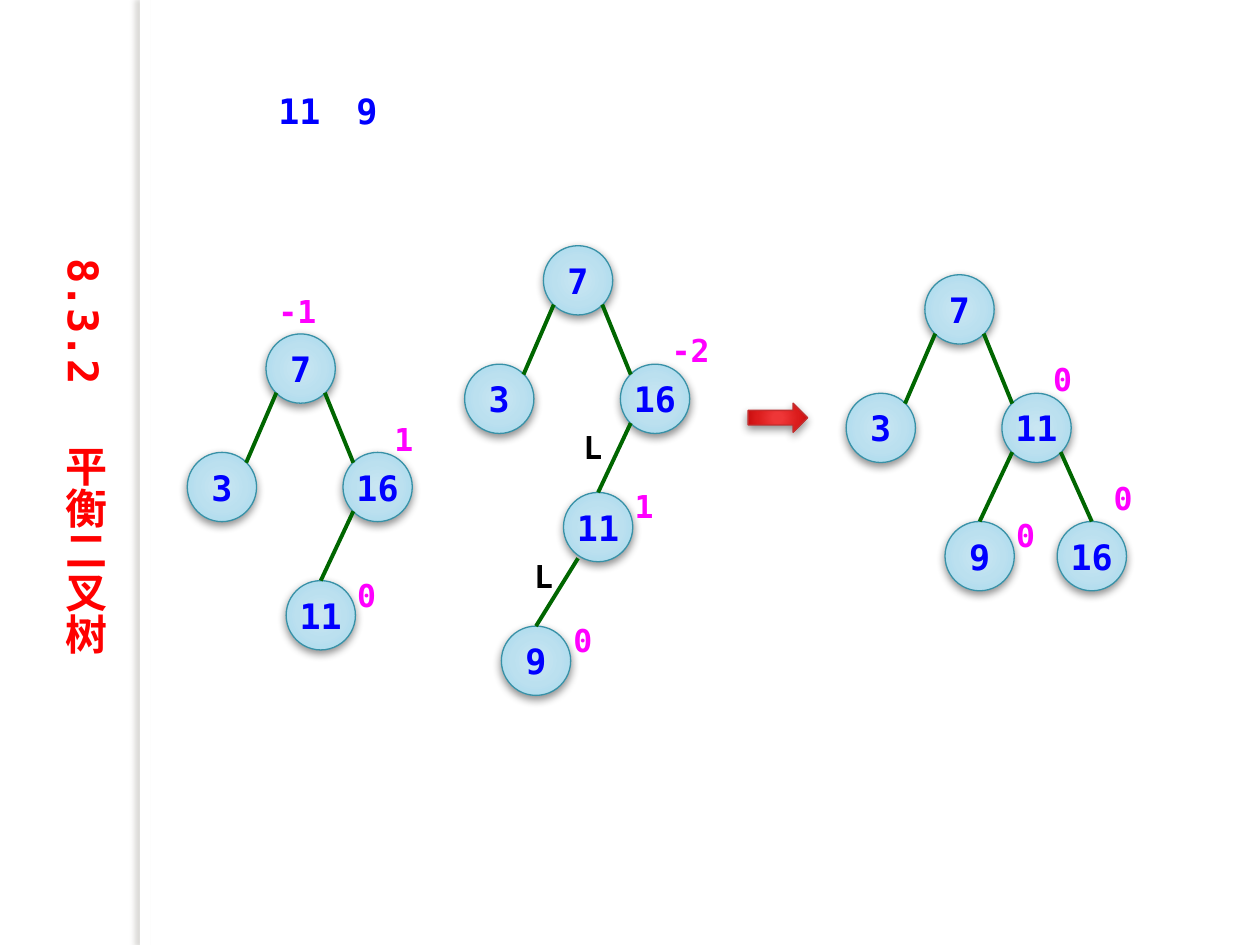
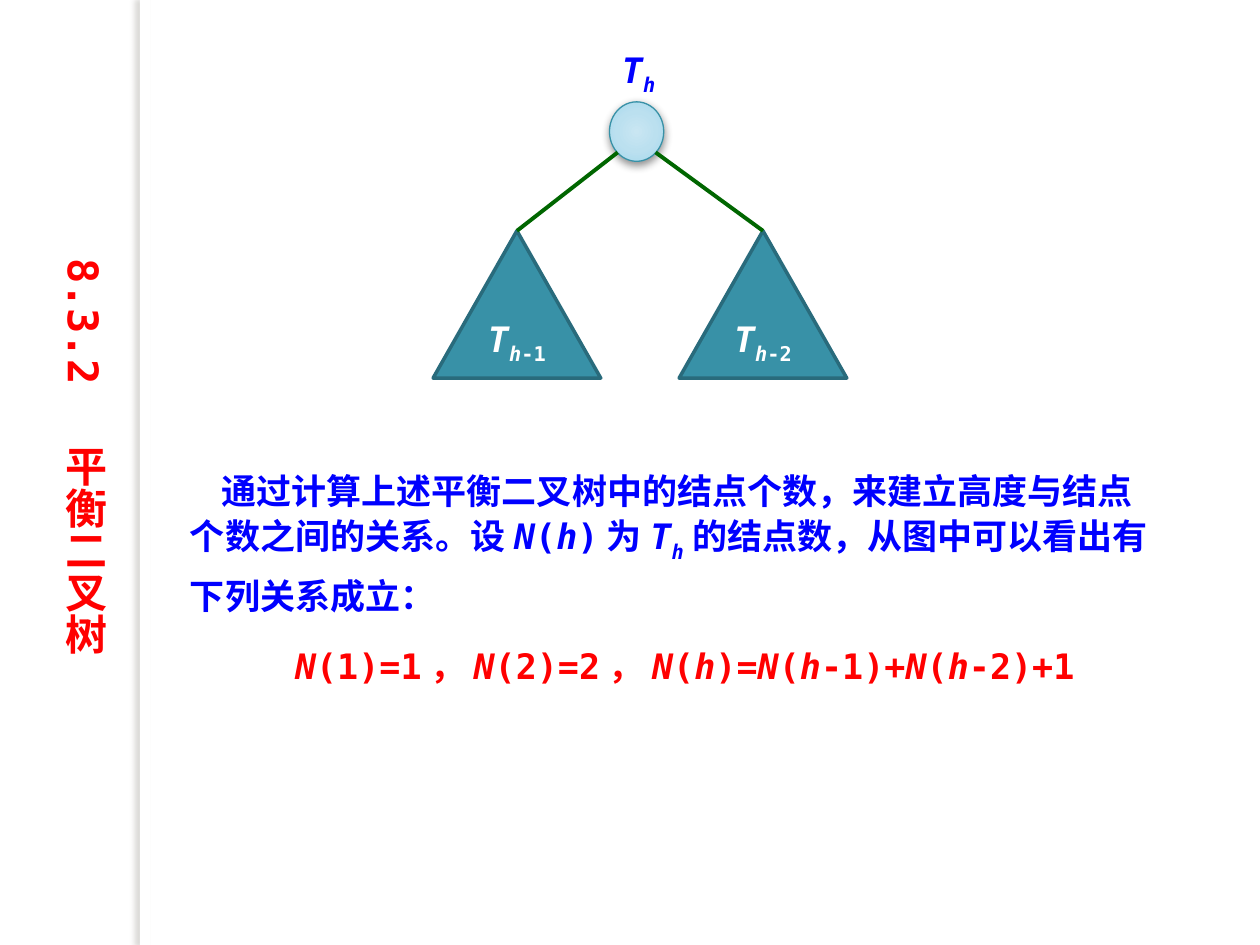
from lxml.etree import SubElement
from pptx import Presentation
from pptx.dml.color import RGBColor
from pptx.enum.shapes import MSO_CONNECTOR, MSO_SHAPE
from pptx.enum.text import MSO_ANCHOR, MSO_AUTO_SIZE, PP_ALIGN
from pptx.oxml.ns import qn
from pptx.util import Pt

COLORS = {
    "paper": "FFFFFF", "ink": "0000FF", "title": "FF0000", "factor": "FF00FF",
    "turn": "000000", "edge": "006600", "teal": "3891A7", "teal_dark": "296B7C",
    "arrow": "C32D2E", "band_shadow": "736F63", "shadow": "000000",
}
NODE_GRADIENT = [(0, "C9E6F2"), (50, "BBE0EF"), (97, "A4D8ED"), (100, "9BD7EE")]
ARROW_GRADIENT = [(0, "EF3737"), (15, "EE3637"), (62, "DB1C1C"), (97, "C70C0D"), (100, "C30001")]
FONT = "DejaVu Sans Mono"

NODE = 39.6
ROOT, LEFT, RIGHT = (0, 0), (-45, 67.7), (44, 67.7)
INNER, OUTER, DEEP = (11.5, 141), (75.6, 141), (-24, 217.4)
LOWER_LEFT, LOWER_RIGHT = (0.15, 0.85), (0.85, 0.85)
UPPER_LEFT, UPPER_RIGHT = (0.15, 0.15), (0.85, 0.15)
TOP, STEEP_LEFT = (0.5, 0), (0.21, 0.95)
RIGHT_FACTOR, INNER_FACTOR = (66.2, 45.4), (45, 134.6)
TOP_EDGES = [("7", "3", LOWER_LEFT, UPPER_RIGHT)]


def color(name):
    return RGBColor.from_string(COLORS[name])


def add_spans(para, spans, size, ink, drop=-25):
    for text, style in spans:
        span = para.add_run()
        span.text = text
        font = span.font
        font.name, font.size, font.bold = FONT, Pt(size), True
        font.italic = "i" in style
        font.color.rgb = color(ink)
        if "s" in style:
            span._r.get_or_add_rPr().set("baseline", str(drop * 1000))


def add_text(page, left, top, width, height, spans, size, ink):
    box = page.shapes.add_textbox(Pt(left), Pt(top), Pt(width), Pt(height))
    frame = box.text_frame
    frame.word_wrap = True
    frame.auto_size = MSO_AUTO_SIZE.SHAPE_TO_FIT_TEXT
    add_spans(frame.paragraphs[0], spans, size, ink)
    return box


def add_gradient(shape, stops):
    shape.fill.solid()
    solid = shape.element.spPr.find(qn("a:solidFill"))
    gradient = solid.makeelement(qn("a:gradFill"), {"rotWithShape": "1"})
    stop_list = SubElement(gradient, qn("a:gsLst"))
    for position, value in stops:
        stop = SubElement(stop_list, qn("a:gs"), pos=str(position * 1000))
        SubElement(stop, qn("a:srgbClr"), val=value)
    circle = SubElement(gradient, qn("a:path"), path="circle")
    SubElement(circle, qn("a:fillToRect"), l="50000", t="50000", r="50000", b="50000")
    solid.getparent().replace(solid, gradient)


def add_shadow(shape, ink, alpha, blur, distance, angle):
    effects = shape.element.spPr.find(qn("a:effectLst"))
    shadow = SubElement(effects, qn("a:outerShdw"), blurRad=str(Pt(blur)),
                        dist=str(Pt(distance)), dir=str(angle * 60000),
                        algn="ctr", rotWithShape="0")
    tone = SubElement(shadow, qn("a:srgbClr"), val=COLORS[ink])
    SubElement(tone, qn("a:alpha"), val=str(alpha * 1000))


def add_plain(page, kind, left, top, width, height, line=None, weight=0.75):
    shape = page.shapes.add_shape(kind, Pt(left), Pt(top), Pt(width), Pt(height))
    if line:
        shape.line.color.rgb = color(line)
        shape.line.width = Pt(weight)
    else:
        shape.line.fill.background()
    shape.shadow.inherit = False
    return shape


def add_glossy(page, kind, left, top, width, height, line, stops):
    shape = add_plain(page, kind, left, top, width, height, line)
    add_gradient(shape, stops)
    add_shadow(shape, "shadow", 43, 5, 2, 90)
    return shape


def add_node(page, left, top, width=NODE, height=NODE, key=None):
    node = add_glossy(page, MSO_SHAPE.OVAL, left, top, width, height, "teal", NODE_GRADIENT)
    if key:
        frame = node.text_frame
        frame.word_wrap = False
        frame.vertical_anchor = MSO_ANCHOR.MIDDLE
        para = frame.paragraphs[0]
        para.alignment = PP_ALIGN.CENTER
        add_spans(para, [(key, "")], 20, "ink")
    return node


def point_on(shape, place):
    return (int(shape.left + shape.width * place[0]),
            int(shape.top + shape.height * place[1]))


def add_edge(page, parent, child, start, end=TOP):
    edge = page.shapes.add_connector(
        MSO_CONNECTOR.STRAIGHT, *point_on(parent, start), *point_on(child, end))
    if end == TOP:
        edge.end_connect(child, 0)
    edge.line.color.rgb = color("edge")
    edge.line.width = Pt(2.25)
    SubElement(edge.element.spPr, qn("a:effectLst"))


def add_tree(page, left, top, places, edges, labels):
    nodes = {key: add_node(page, left + x, top + y, key=key)
             for key, (x, y) in places.items()}
    for parent, child, start, end in edges:
        add_edge(page, nodes[parent], nodes[child], start, end)
    for text, (x, y) in labels:
        width = NODE if len(text) > 1 else 22.3
        ink = "turn" if text == "L" else "factor"
        add_text(page, left + x, top + y, width, 28.8, [(text, "")], 18, ink)


def add_frame(page):
    band = add_plain(page, MSO_SHAPE.RECTANGLE, 80, 0, 5.76, 540)
    band.fill.solid()
    band.fill.fore_color.rgb = color("paper")
    add_shadow(band, "band_shadow", 25, 3, 3, 180)
    title = add_text(page, 22.3, 140.4, 44, 247.7, [("8.3.2  平衡二叉树", "")], 24, "title")
    title.element.txBody.find(qn("a:bodyPr")).set("vert", "eaVert")
    title.text_frame.paragraphs[0].alignment = PP_ALIGN.CENTER


def add_subtree(page, left, top, width, height, offset):
    triangle = add_plain(page, MSO_SHAPE.ISOSCELES_TRIANGLE, left, top, width, height,
                         "teal_dark", 2)
    triangle.fill.solid()
    triangle.fill.fore_color.rgb = color("teal")
    triangle.text_frame.vertical_anchor = MSO_ANCHOR.MIDDLE
    para = triangle.text_frame.paragraphs[0]
    para.alignment = PP_ALIGN.CENTER
    add_spans(para, [("T", "i"), ("h", "is"), (offset, "s")], 20, "paper")
    return triangle


def add_height_tree(page, left, top):
    root = add_node(page, left + 100.8, top + 33.8, 31, 34)
    add_text(page, left + 100.8, top, NODE, 31.7, [("T", "i"), ("h", "is")], 20, "ink")
    for x, offset, corner in [(0, "-1", LOWER_LEFT), (140.6, "-2", LOWER_RIGHT)]:
        subtree = add_subtree(page, left + x, top + 107.5, 95.8, 84.2, offset)
        add_edge(page, root, subtree, corner)


def set_paragraph(para, indent):
    para.line_spacing = Pt(30)
    para._p.get_or_add_pPr().set("indent", str(Pt(indent)))


def add_recurrence(page, left, top, width, height):
    explanation = [
        ("通过计算上述平衡二叉树中的结点个数，来建立高度与结点个数之间的关系。设", ""),
        ("N", "i"), ("(", ""), ("h", "i"), (")为", ""), ("T", "i"), ("h", "is"),
        ("的结点数，从图中可以看出有下列关系成立：", ""),
    ]
    formula = [
        ("N", "i"), ("(1)=1，", ""), ("N", "i"), ("(2)=2，", ""),
        ("N", "i"), ("(", ""), ("h", "i"), (")=", ""),
        ("N", "i"), ("(", ""), ("h", "i"), ("-1)+", ""),
        ("N", "i"), ("(", ""), ("h", "i"), ("-2)+1", ""),
    ]
    box = add_text(page, left, top, width, height, [], 20, "ink")
    first = box.text_frame.paragraphs[0]
    set_paragraph(first, 18)
    add_spans(first, explanation, 20, "ink", -30)
    second = box.text_frame.add_paragraph()
    set_paragraph(second, 60)
    second.space_before = Pt(10)
    add_spans(second, formula, 20, "title")


def build_rotation(page):
    add_frame(page)
    for left, key in [(152, "11"), (196.6, "9")]:
        add_text(page, left, 47.5, NODE, 31.7, [(key, "")], 20, "ink")

    before = {"7": ROOT, "3": LEFT, "16": RIGHT, "11": INNER}
    before_edges = TOP_EDGES + [("7", "16", LOWER_RIGHT, UPPER_LEFT),
                                ("16", "11", LOWER_LEFT, TOP)]
    add_tree(page, 152, 190.8, before, before_edges,
             [("-1", (0, -27.5)), ("1", RIGHT_FACTOR), ("0", INNER_FACTOR)])
    add_tree(page, 310.5, 140.4, {**before, "9": DEEP},
             before_edges + [("11", "9", STEEP_LEFT, TOP)],
             [("-2", RIGHT_FACTOR), ("1", INNER_FACTOR), ("0", (10, 211)),
              ("L", (15.7, 100.8)), ("L", (-12.4, 174.2))])
    add_glossy(page, MSO_SHAPE.RIGHT_ARROW, 427.5, 230.4, 34, 16.6, "arrow", ARROW_GRADIENT)
    add_tree(page, 528.5, 157,
             {"7": ROOT, "3": LEFT, "11": RIGHT, "9": INNER, "16": OUTER},
             TOP_EDGES + [("7", "11", LOWER_RIGHT, UPPER_LEFT),
                          ("11", "9", LOWER_LEFT, TOP),
                          ("11", "16", LOWER_RIGHT, TOP)],
             [("0", RIGHT_FACTOR), ("0", INNER_FACTOR), ("0", (100.8, 113))])


def build_height(page):
    add_frame(page)
    add_recurrence(page, 101.5, 258.5, 571, 140.4)
    add_height_tree(page, 247.5, 24.4)


def main():
    deck = Presentation()
    deck.slide_width, deck.slide_height = Pt(720), Pt(540)
    for build in (build_rotation, build_height):
        build(deck.slides.add_slide(deck.slide_layouts[6]))
    deck.save("out.pptx")


if __name__ == "__main__":
    main()
